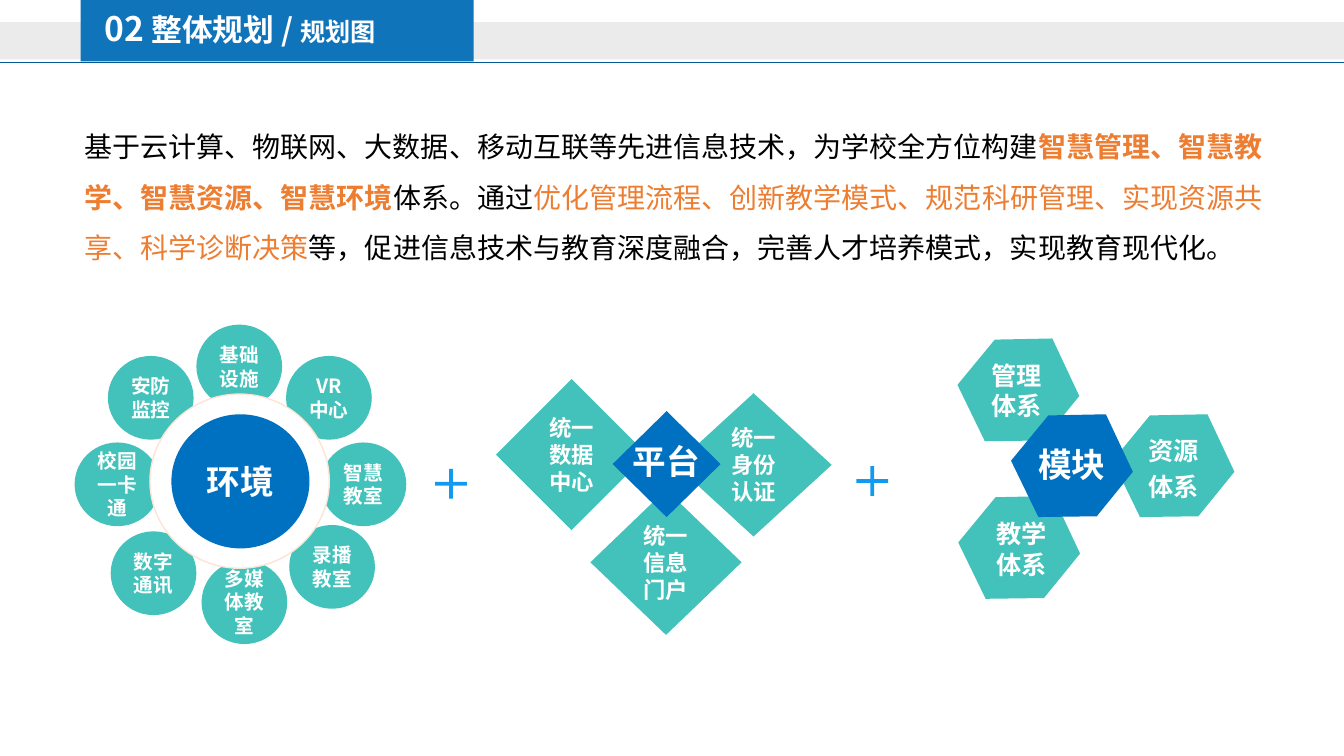
from lxml import etree
from pptx import Presentation
from pptx.dml.color import RGBColor
from pptx.enum.shapes import MSO_CONNECTOR, MSO_SHAPE as Shape
from pptx.enum.text import MSO_ANCHOR as Anchor, PP_ALIGN as Align
from pptx.oxml.ns import qn
from pptx.util import Cm, Pt

FONT = "Noto Sans CJK SC"
COLORS = {
    "band": "D9D9D9", "rule": "015A92", "title": "1074BB", "white": "FFFFFF",
    "black": "000000", "orange": "ED7D31", "plus": "129AEE", "teal": "42C2BA",
    "blue": "0070C0", "ring": "FBE5D6",
}

# Runs: text, size, colour, bold
TITLE = [("02", 24, "white", True), (" 整体规划 / ", 22, "white", True),
         ("规划图", 18, "white", True)]
INTRO = [
    ("基于云计算、物联网、大数据、移动互联等先进信息技术，为学校全方位构建", 20, "black", False),
    ("智慧管理、智慧教学、智慧资源、智慧环境", 20, "orange", True),
    ("体系。通过", 20, "black", False),
    ("优化管理流程、创新教学模式、规范科研管理、实现资源共享、科学诊断决策", 20, "orange", False),
    ("等，促进信息技术与教育深度融合，完善人才培养模式，实现教育现代化。", 20, "black", False),
]
# Lengths below are in centimetres
PLUSES = [(21.44, 11.61), (10.82, 11.68)]
PETAL_SIZE = (2.16, 2.11)
PETALS = [
    ("录播教室", 7.29, 13.23), ("基础设施", 4.95, 8.18), ("VR\n中心", 7.21, 8.97),
    ("智慧教室", 8.08, 11.15), ("校园\n一卡通", 1.88, 11.15), ("多媒体教室", 5.08, 14.12),
    ("数字通讯", 2.79, 13.39), ("安防监控", 2.72, 8.97),
]
DIAMONDS = [
    ("统一数据中心", 12.5, 9.55, 3.81, 3.81),
    ("统一身份认证", 17.02, 9.91, 3.94, 3.61),
    ("统一信息门户", 14.88, 12.34, 3.81, 3.66),
]
# Corners of a tilted hexagon, measured from its left corner
HEXAGON = [(0, 0), (0.94, -1.14), (2.39, -1.17), (3.07, 0.28), (2.16, 1.4), (0.69, 1.42)]
HEXAGONS = [(24.15, 13.67, "teal"), (28.04, 11.61, "teal"),
            (24.13, 9.7, "teal"), (25.48, 11.61, "blue")]
# Text, size, box, line spacing, space after
HEX_LABELS = [
    ("模块", 24, (25.73, 11.07, 2.57, 1.27), 1, 0),
    ("管理\n体系", 18, (23.8, 9.12, 3.63, 1.45), 1, 0),
    ("教学\n体系", 18, (23.93, 13.11, 3.63, 1.45), 1, 0),
    ("资源\n体系", 18, (27.76, 10.9, 3.63, 1.9), 0.9, 6.3),
]


def rgb(name):
    return RGBColor.from_string(COLORS[name])


def paint(sp, fill, line=None):
    sp.shadow.inherit = False
    sp.fill.solid()
    sp.fill.fore_color.rgb = rgb(fill)
    if line:
        sp.line.color.rgb = rgb(line)
        sp.line.width = Pt(1)
    else:
        sp.line.fill.background()


def add_shape(kind, box, fill, line=None):
    sp = slide.shapes.add_shape(kind, *map(Cm, box))
    paint(sp, fill, line)
    return sp


def add_text_box(box):
    tf = slide.shapes.add_textbox(*map(Cm, box)).text_frame
    tf.word_wrap = True
    return tf


def style(r, size, color, bold):
    """Set the run's look, with the same font for Latin and East Asian text."""
    r.font.size = Pt(size)
    r.font.bold = bold
    r.font.name = FONT
    r.font.color.rgb = rgb(color)
    etree.SubElement(r._r.get_or_add_rPr(), qn("a:ea"), typeface=FONT)


def write_runs(tf, runs, spacing):
    p = tf.paragraphs[0]
    p.line_spacing = spacing
    for text, *look in runs:
        r = p.add_run()
        r.text = text
        style(r, *look)


def write_label(tf, text, size, spacing=1, after=0):
    tf.text = text
    tf.vertical_anchor = Anchor.MIDDLE
    for p in tf.paragraphs:
        p.alignment = Align.CENTER
        p.line_spacing = spacing
        p.space_after = Pt(after)
        style(p.runs[0], size, "white", True)


prs = Presentation()
prs.slide_width, prs.slide_height = Cm(33.87), Cm(19.05)
slide = prs.slides.add_slide(prs.slide_layouts[6])

# Header
band = add_shape(Shape.RECTANGLE, (0, 0.56, 33.87, 0.94), "band")
band_color = band._element.spPr.find(qn("a:solidFill"))[0]
etree.SubElement(band_color, qn("a:alpha"), val="50000")
rule = slide.shapes.add_connector(MSO_CONNECTOR.STRAIGHT, 0, Cm(1.57), Cm(33.87), Cm(1.57))
rule.line.color.rgb = rgb("rule")
rule.line.width = Pt(0.75)
etree.SubElement(rule._element.spPr, qn("a:effectLst"))
add_shape(Shape.RECTANGLE, (2.03, 0, 9.91, 1.55), "title")
write_runs(add_text_box((2.39, 0.18, 10.31, 1.22)), TITLE, 0.9)
write_runs(add_text_box((1.88, 2.72, 30.53, 4.09)), INTRO, 1.5)

for x, y in PLUSES:
    add_shape(Shape.MATH_PLUS, (x, y, 1.09, 1.02), "plus").adjustments[0] = 0.092

# Modules
for x, y, fill in HEXAGONS:
    start, *corners = [(Cm(x + dx), Cm(y + dy)) for dx, dy in HEXAGON]
    outline = slide.shapes.build_freeform(*start)
    outline.add_line_segments(corners, close=True)
    paint(outline.convert_to_shape(), fill)
for text, size, box, spacing, after in HEX_LABELS:
    write_label(add_text_box(box), text, size, spacing, after)

# Platform
for text, *box in DIAMONDS:
    write_label(add_shape(Shape.DIAMOND, box, "teal").text_frame, text, 16)
platform = add_shape(Shape.DIAMOND, (15.44, 10.36, 2.72, 2.67), "blue").text_frame
write_label(platform, "平台", 24, 0.9)
platform.word_wrap = False

# Environment
for text, x, y in PETALS:
    write_label(add_shape(Shape.OVAL, (x, y, *PETAL_SIZE), "teal").text_frame, text, 14)
add_shape(Shape.OVAL, (3.78, 9.93, 4.52, 4.39), "white", "ring")
core = add_shape(Shape.OVAL, (4.32, 10.44, 3.48, 3.38), "blue").text_frame
write_label(core, "环境", 24)
core.word_wrap = False

prs.save("out.pptx")
